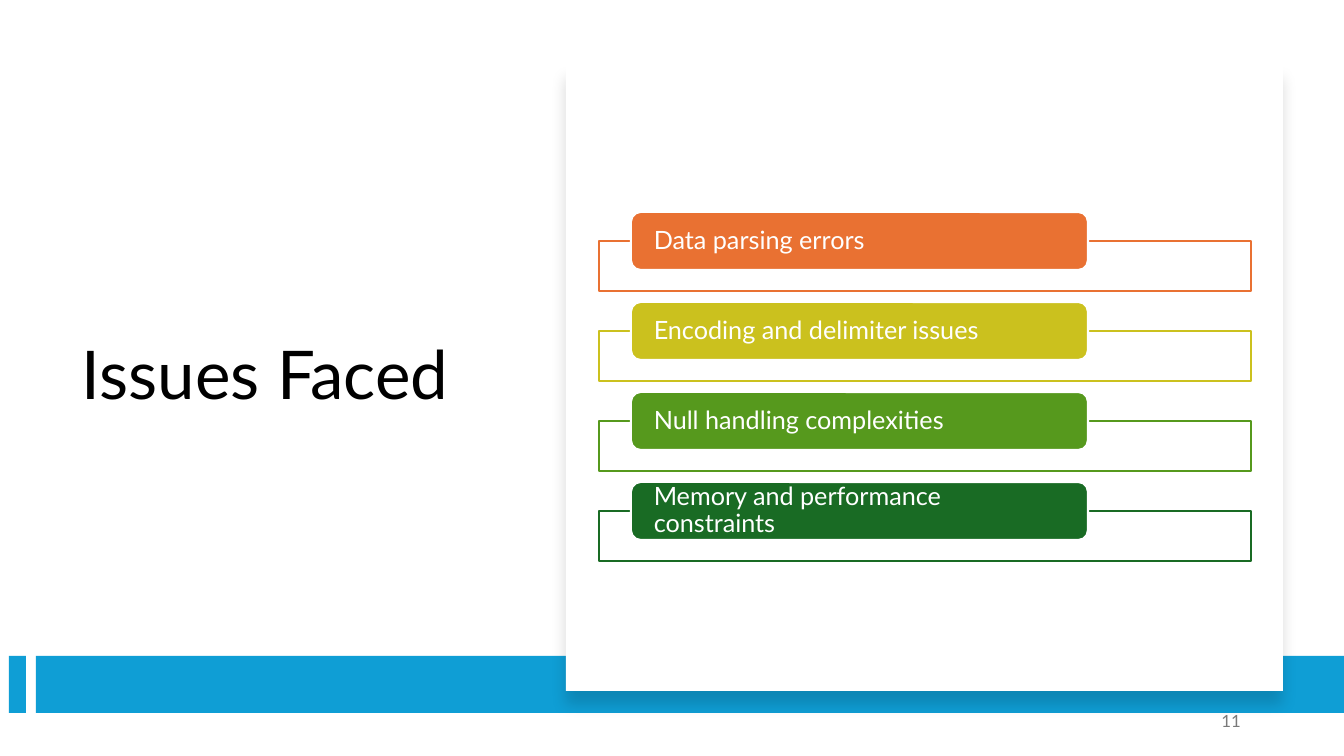
from lxml.etree import SubElement
from pptx import Presentation
from pptx.dml.color import RGBColor
from pptx.enum.shapes import MSO_SHAPE as Preset
from pptx.enum.text import MSO_ANCHOR as Anchor, PP_ALIGN as Align
from pptx.oxml.ns import qn
from pptx.util import Pt

EMU_PER_PX = 914400 / 100.8

BLACK = RGBColor(0x00, 0x00, 0x00)
WHITE = RGBColor(0xFF, 0xFF, 0xFF)
GRAY = RGBColor(0x79, 0x79, 0x79)
BLUE = RGBColor(0x0F, 0x9E, 0xD5)
ORANGE = RGBColor(0xE9, 0x71, 0x32)
YELLOW = RGBColor(0xCB, 0xC1, 0x1E)
GREEN = RGBColor(0x56, 0x99, 0x1D)
DARK_GREEN = RGBColor(0x19, 0x6B, 0x24)

ISSUES = [
    ("Data parsing errors", ORANGE),
    ("Encoding and delimiter issues", YELLOW),
    ("Null handling complexities", GREEN),
    ("Memory and performance constraints", DARK_GREEN),
]
FIRST_ISSUE_TOP = 212
ISSUE_PITCH = 90


def px(length):
    return round(length * EMU_PER_PX)


def add_box(slide, box, fill, line=None, preset=Preset.RECTANGLE):
    shape = slide.shapes.add_shape(preset, *map(px, box))
    shape.shadow.inherit = False
    shape.fill.solid()
    shape.fill.fore_color.rgb = fill
    if line is None:
        shape.line.fill.background()
    else:
        shape.line.color.rgb = line
        shape.line.width = Pt(1.5)
    return shape


def write(shape, text, size, color, insets=(10, 5), align=Align.LEFT, spacing=1.0):
    """Fill a shape with one vertically centred line; insets are (side, top and bottom)."""
    frame = shape.text_frame
    frame.word_wrap = True
    frame.vertical_anchor = Anchor.MIDDLE
    frame.margin_left = frame.margin_right = px(insets[0])
    frame.margin_top = frame.margin_bottom = px(insets[1])
    paragraph = frame.paragraphs[0]
    paragraph.alignment = align
    paragraph.line_spacing = spacing
    run = paragraph.add_run()
    run.text = text
    run.font.name = "Lato"
    run.font.size = Pt(size)
    run.font.color.rgb = color


def add_text(slide, box, *args, **options):
    write(slide.shapes.add_textbox(*map(px, box)), *args, **options)


def set_alpha(color_element, percent):
    SubElement(color_element, qn("a:alpha"), val=str(percent * 1000))


def add_card(slide):
    """White panel with a soft shadow falling straight down."""
    card = add_box(slide, (566, 65, 717, 626), WHITE)
    effects = card._element.spPr.find(qn("a:effectLst"))
    shadow = SubElement(effects, qn("a:outerShdw"), blurRad=str(Pt(11)),
                        dist=str(Pt(10)), dir="5400000", algn="t", rotWithShape="0")
    set_alpha(SubElement(shadow, qn("a:srgbClr"), val=str(BLACK)), 15)


def add_issue(slide, top, text, color):
    outline = add_box(slide, (599, top + 29, 652, 50), WHITE, color)
    set_alpha(outline._element.spPr.find(qn("a:solidFill"))[0], 90)
    label = add_box(slide, (631, top, 457, 58), color, WHITE, Preset.ROUNDED_RECTANGLE)
    write(label, text, 18, WHITE, insets=(20, 3), spacing=0.9)


def main():
    deck = Presentation()
    deck.slide_width, deck.slide_height = px(1344), px(756)
    slide = deck.slides.add_slide(deck.slide_layouts[6])

    add_text(slide, (72, 121, 418, 514), "Issues Faced", 48, BLACK, spacing=0.9)
    for left, width in ((9, 17), (36, 1308)):
        add_box(slide, (left, 656, width, 57), BLUE)
    add_card(slide)
    for index, (text, color) in enumerate(ISSUES):
        add_issue(slide, FIRST_ISSUE_TOP + index * ISSUE_PITCH, text, color)
    add_text(slide, (949, 701, 302, 40), "11", 12, GRAY, align=Align.RIGHT)

    deck.save("out.pptx")


if __name__ == "__main__":
    main()
